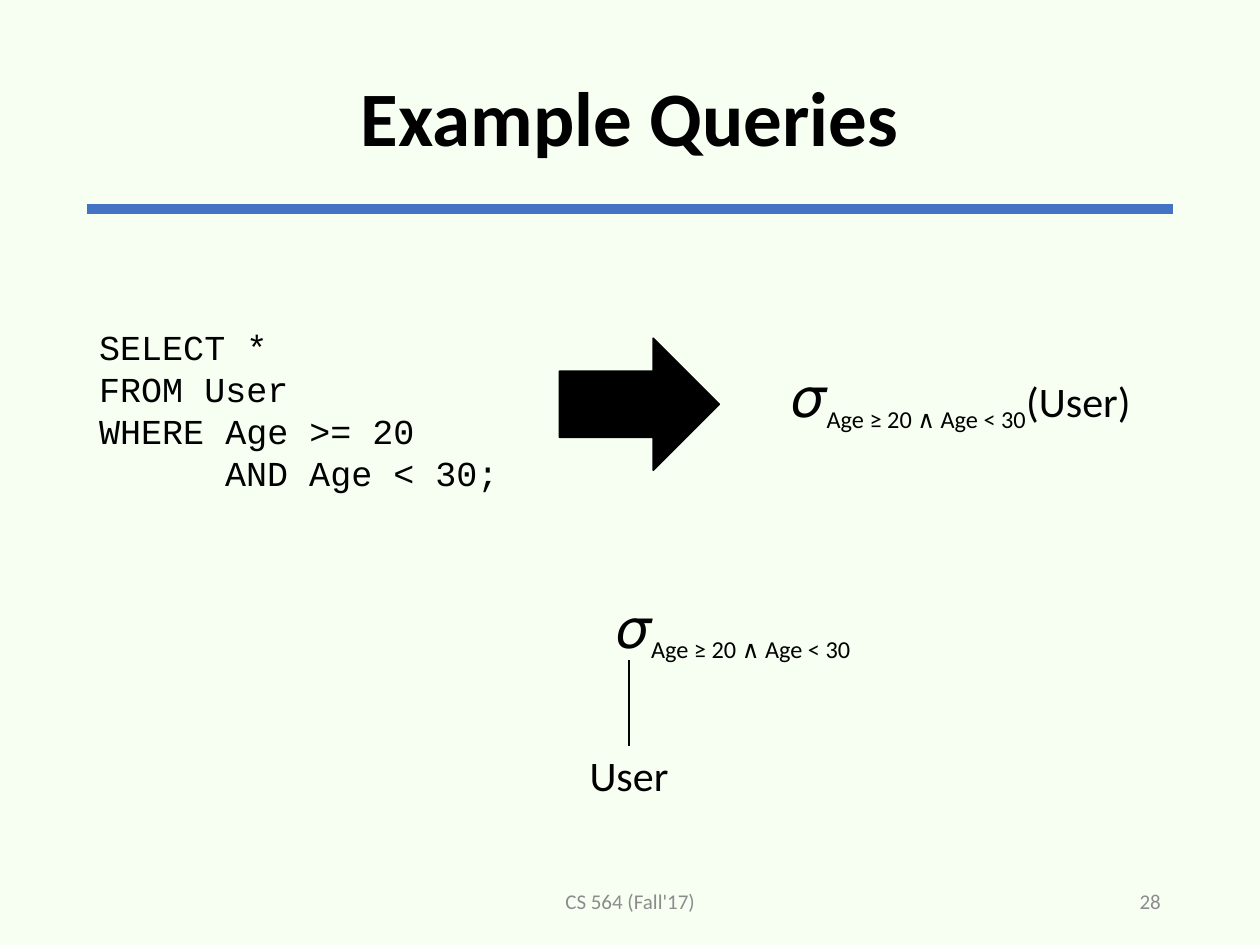
from dataclasses import dataclass

from lxml.etree import SubElement
from pptx import Presentation
from pptx.dml.color import RGBColor
from pptx.enum.shapes import MSO_CONNECTOR as Connector, MSO_SHAPE as Shape
from pptx.enum.text import MSO_ANCHOR as Anchor, PP_ALIGN as Align
from pptx.oxml.ns import qn
from pptx.util import Cm, Pt


@dataclass(frozen=True)
class Theme:
    background: RGBColor = RGBColor(0xF7, 0xFF, 0xF3)
    ink: RGBColor = RGBColor(0, 0, 0)
    rule: RGBColor = RGBColor(0x44, 0x72, 0xC4)
    footer: RGBColor = RGBColor(0x8C, 0x8C, 0x8C)
    body_font: str = "Calibri"
    code_font: str = "Courier New"
    title_size: int = 44
    sigma_size: int = 32
    algebra_size: int = 24
    code_size: int = 20
    footer_size: int = 12


THEME = Theme()
MARGIN = 1.75
CONTENT_WIDTH = 21.9
TREE_AXIS = 12.68
CONDITION = "Age ≥ 20 ∧ Age < 30"
QUERY = ["SELECT *", "FROM User", "WHERE Age >= 20", "\tAND Age < 30;"]


def style_font(font, size, color=THEME.ink, name=THEME.body_font, bold=False):
    font.name, font.size, font.bold = name, Pt(size), bold
    font.color.rgb = color


def add_frame(slide, left, top, width, height, anchor=Anchor.MIDDLE, wrap=True):
    box = slide.shapes.add_textbox(Cm(left), Cm(top), Cm(width), Cm(height))
    box.text_frame.word_wrap = wrap
    box.text_frame.vertical_anchor = anchor
    return box


def add_label(slide, text, left, top, width, height, size, align=Align.CENTER,
              color=THEME.ink, bold=False):
    box = add_frame(slide, left, top, width, height)
    paragraph = box.text_frame.paragraphs[0]
    paragraph.text = text
    paragraph.alignment = align
    style_font(paragraph.runs[0].font, size, color, bold=bold)
    return box


def add_code(slide, lines, left, top, width, height):
    frame = add_frame(slide, left, top, width, height, Anchor.TOP).text_frame
    frame.text = "\n".join(lines)
    for paragraph in frame.paragraphs:
        tabs = SubElement(paragraph._p.get_or_add_pPr(), qn("a:tabLst"))
        SubElement(tabs, qn("a:tab"), pos=str(Cm(2.54)), algn="l")
        for run in paragraph.runs:
            style_font(run.font, THEME.code_size, name=THEME.code_font)


def add_selection(slide, left, top, width, height, relation=""):
    """Write a sigma with its condition as subscript, then the relation."""
    frame = add_frame(slide, left, top, width, height, wrap=False).text_frame
    frame.margin_left = frame.margin_right = 0
    paragraph = frame.paragraphs[0]
    parts = [("𝜎", THEME.sigma_size, 0),
             (CONDITION, THEME.algebra_size, -25000),
             (relation, THEME.algebra_size, 0)]
    for text, size, baseline in parts:
        if text:
            run = paragraph.add_run()
            run.text = text
            style_font(run.font, size)
            run._r.get_or_add_rPr().set("baseline", str(baseline))


def add_line(slide, start, end, color, weight):
    line = slide.shapes.add_connector(Connector.STRAIGHT, *map(Cm, start + end))
    line.line.color.rgb = color
    line.line.width = Pt(weight)
    SubElement(line._element.spPr, qn("a:effectLst"))
    return line


def add_block_arrow(slide, left, top, width, height):
    arrow = slide.shapes.add_shape(
        Shape.RIGHT_ARROW, Cm(left), Cm(top), Cm(width), Cm(height))
    arrow.shadow.inherit = False
    arrow.fill.solid()
    arrow.fill.fore_color.rgb = arrow.line.color.rgb = THEME.ink
    arrow.line.width = Pt(1)


def add_heading(slide):
    rule_y = 4.21
    add_line(slide, (MARGIN, rule_y), (MARGIN + CONTENT_WIDTH, rule_y), THEME.rule, 6)
    title = add_label(slide, "Example Queries", MARGIN, 0.61, CONTENT_WIDTH, 3.68,
                      THEME.title_size, bold=True)
    title.text_frame.paragraphs[0].line_spacing = 0.9


def add_footer(slide):
    for text, left, width, align in [("CS 564 (Fall'17)", 8.41, 8.59, Align.CENTER),
                                     ("28", 17.93, 5.72, Align.RIGHT)]:
        add_label(slide, text, left, 17.65, width, 1.02, THEME.footer_size,
                  align, THEME.footer)


def add_query_tree(slide):
    add_selection(slide, 12.44, 12.01, 4.75, 1.3)
    width, top = 3, 15.04
    user = add_label(slide, "User", TREE_AXIS - width / 2, top, width, 1.14,
                     THEME.algebra_size)
    branch = add_line(slide, (TREE_AXIS, 13.31), (TREE_AXIS, top), THEME.ink, 1.5)
    branch.end_connect(user, 0)


def main():
    deck = Presentation()
    deck.slide_width, deck.slide_height = Cm(25.4), Cm(19.05)
    slide = deck.slides.add_slide(deck.slide_layouts[6])
    slide.background.fill.solid()
    slide.background.fill.fore_color.rgb = THEME.background

    add_heading(slide)
    add_code(slide, QUERY, MARGIN, 6.43, 8.69, 3.66)
    add_block_arrow(slide, 11.28, 6.82, 3.22, 2.66)
    add_selection(slide, 15.98, 7.2, 6.9, 1.63, "(User)")
    add_query_tree(slide)
    add_footer(slide)
    deck.save("out.pptx")


if __name__ == "__main__":
    main()
